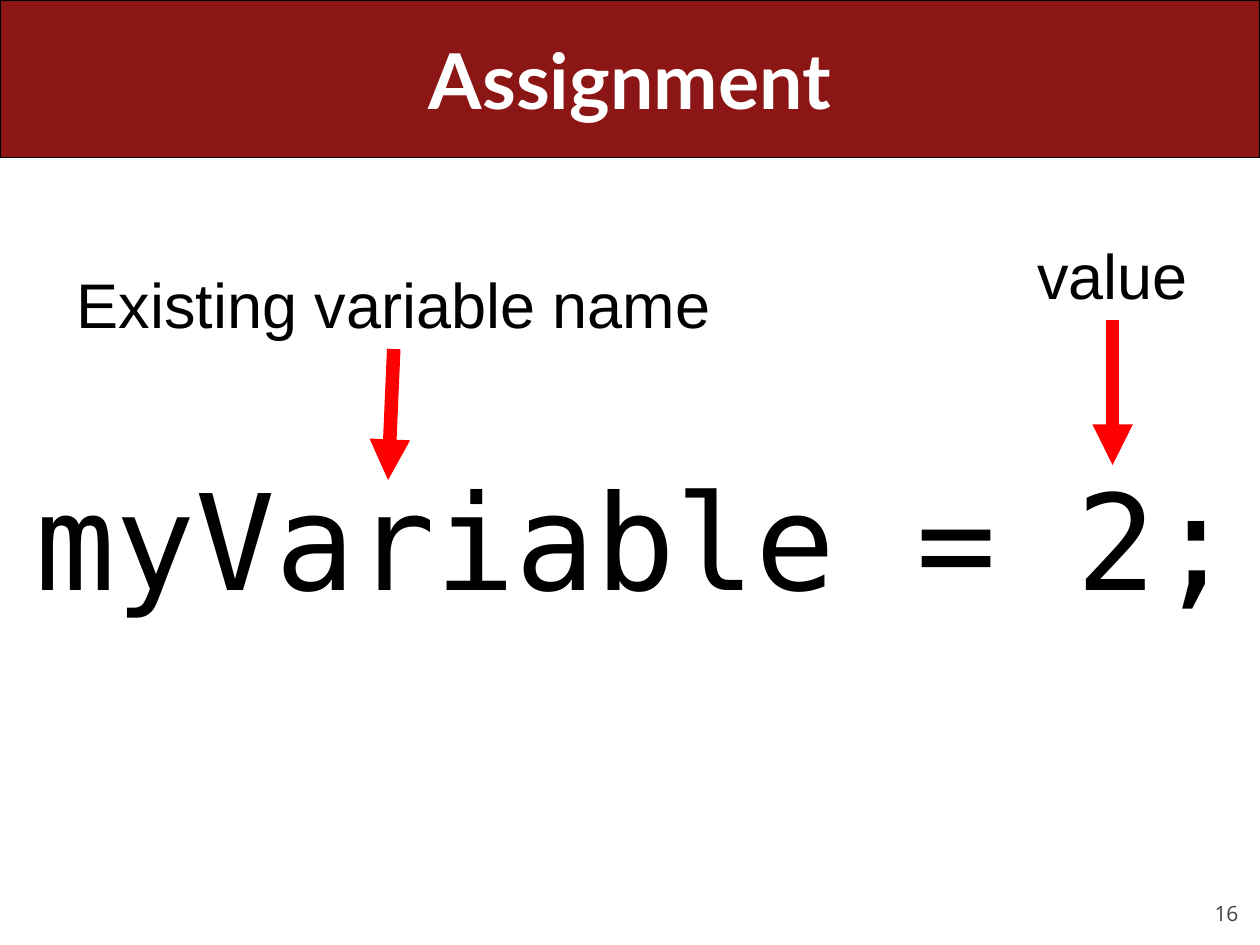
from lxml import etree
from pptx import Presentation
from pptx.dml.color import RGBColor
from pptx.enum import shapes, text
from pptx.oxml.ns import qn
from pptx.util import Inches, Pt

COLORS = {"band": "8C1515", "white": "FFFFFF", "black": "000000",
          "arrow": "FF0000", "number": "424242"}
TITLE = "Assignment"
STATEMENT = "myVariable = 2;"
PAGE_NUMBER = "16"
# label, (left, top, width, height), arrow tip (x, y)
CALLOUTS = [
    ("Existing variable name", (0.5, 2.06, 5.25, 0.71), (3.08, 3.81)),
    ("value", (8.08, 1.83, 1.5, 0.71), (8.83, 3.69)),
]


def color(name):
    return RGBColor.from_string(COLORS[name])


def write(shape, words, box, font, size, color_name, align=text.PP_ALIGN.CENTER, bold=False):
    shape.left, shape.top, shape.width, shape.height = map(Inches, box)
    frame = shape.text_frame
    frame.text = words
    frame.word_wrap = True
    frame.auto_size = text.MSO_AUTO_SIZE.NONE
    paragraph = frame.paragraphs[0]
    paragraph.alignment = align
    run_font = paragraph.runs[0].font
    run_font.name, run_font.size, run_font.bold = font, Pt(size), bold
    run_font.color.rgb = color(color_name)
    return frame


def add_text_box(slide, words, box, *style):
    shape = slide.shapes.add_textbox(*map(Inches, box))
    return write(shape, words, box, *style)


def add_band(slide):
    """Add the title band behind every other shape."""
    band = slide.shapes.add_shape(shapes.MSO_SHAPE.ROUNDED_RECTANGLE,
                                  0, 0, Inches(10), Inches(1.25))
    band.adjustments[0] = 0
    band.shadow.inherit = False
    band.fill.solid()
    band.fill.fore_color.rgb = color("band")
    band.line.color.rgb = color("black")
    band.line.width = Pt(0.75)
    slide.shapes._spTree.insert(2, band._element)


def add_arrow(slide, start, tip):
    arrow = slide.shapes.add_connector(shapes.MSO_CONNECTOR.STRAIGHT,
                                       *map(Inches, start + tip))
    arrow.line.color.rgb = color("arrow")
    arrow.line.width = Pt(7.75)
    etree.SubElement(arrow.line._get_or_add_ln(), qn("a:tailEnd"), type="triangle")
    etree.SubElement(arrow._element.spPr, qn("a:effectLst"))


def remove_bullet(paragraph):
    properties = paragraph._p.get_or_add_pPr()
    properties.set("marL", "0")
    properties.set("indent", "0")
    etree.SubElement(properties, qn("a:buNone"))


def main():
    presentation = Presentation()
    presentation.slide_width, presentation.slide_height = Inches(10), Inches(7.5)
    slide = presentation.slides.add_slide(presentation.slide_layouts[1])
    add_band(slide)

    title = write(slide.shapes.title, TITLE, (0.5, 0, 9, 1.25),
                  "Lato", 44, "white", text.PP_ALIGN.CENTER, True)
    title.vertical_anchor = text.MSO_ANCHOR.MIDDLE
    body = write(slide.placeholders[1], STATEMENT, (0.17, 3.58, 9.75, 1.75),
                 "DejaVu Sans Mono", 76, "black")
    remove_bullet(body.paragraphs[0])

    for label, box, tip in CALLOUTS:
        add_text_box(slide, label, box, "Arial", 36, "black")
        left, top, width, height = box
        add_arrow(slide, (left + width / 2, top + height), tip)

    number = add_text_box(slide, PAGE_NUMBER, (9, 6.95, 0.83, 0.4),
                          "Open Sans", 12, "number", text.PP_ALIGN.RIGHT)
    number.vertical_anchor = text.MSO_ANCHOR.BOTTOM
    number.margin_left = number.margin_right = number.margin_top = number.margin_bottom = 0

    presentation.save("out.pptx")


if __name__ == "__main__":
    main()
